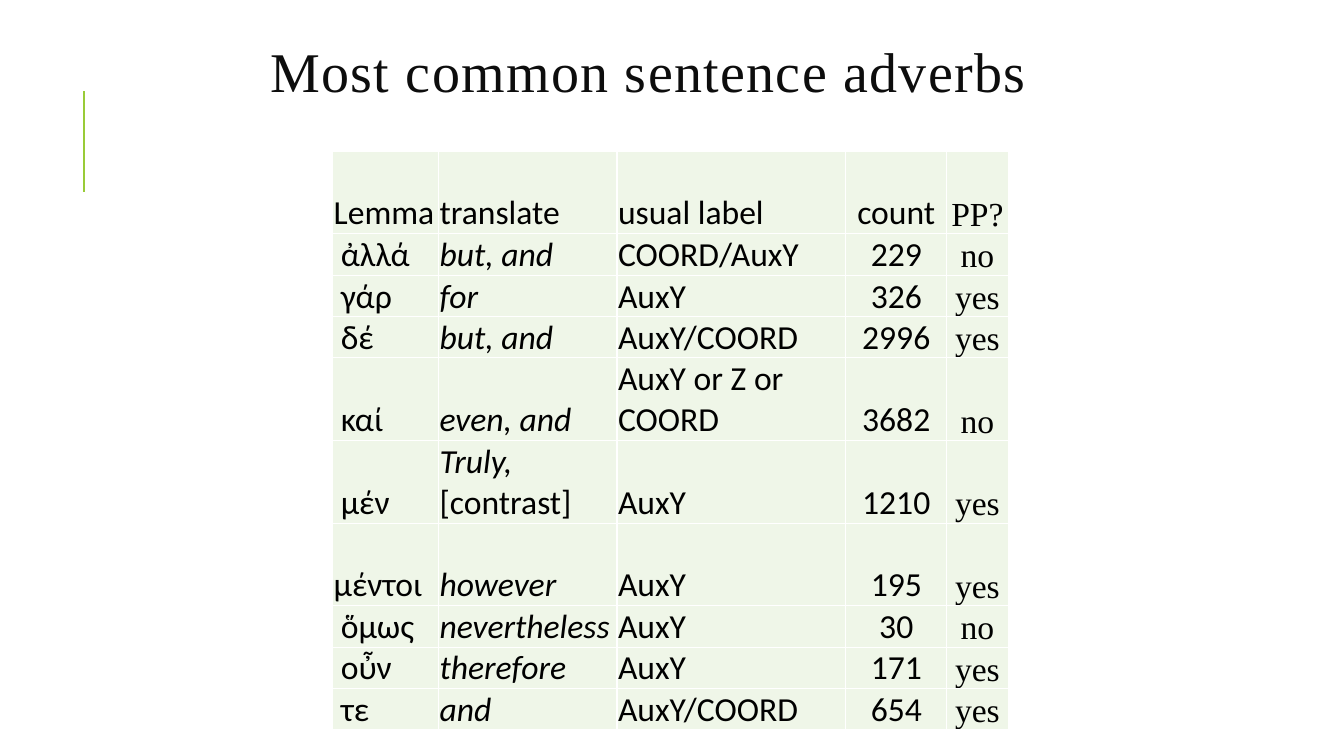
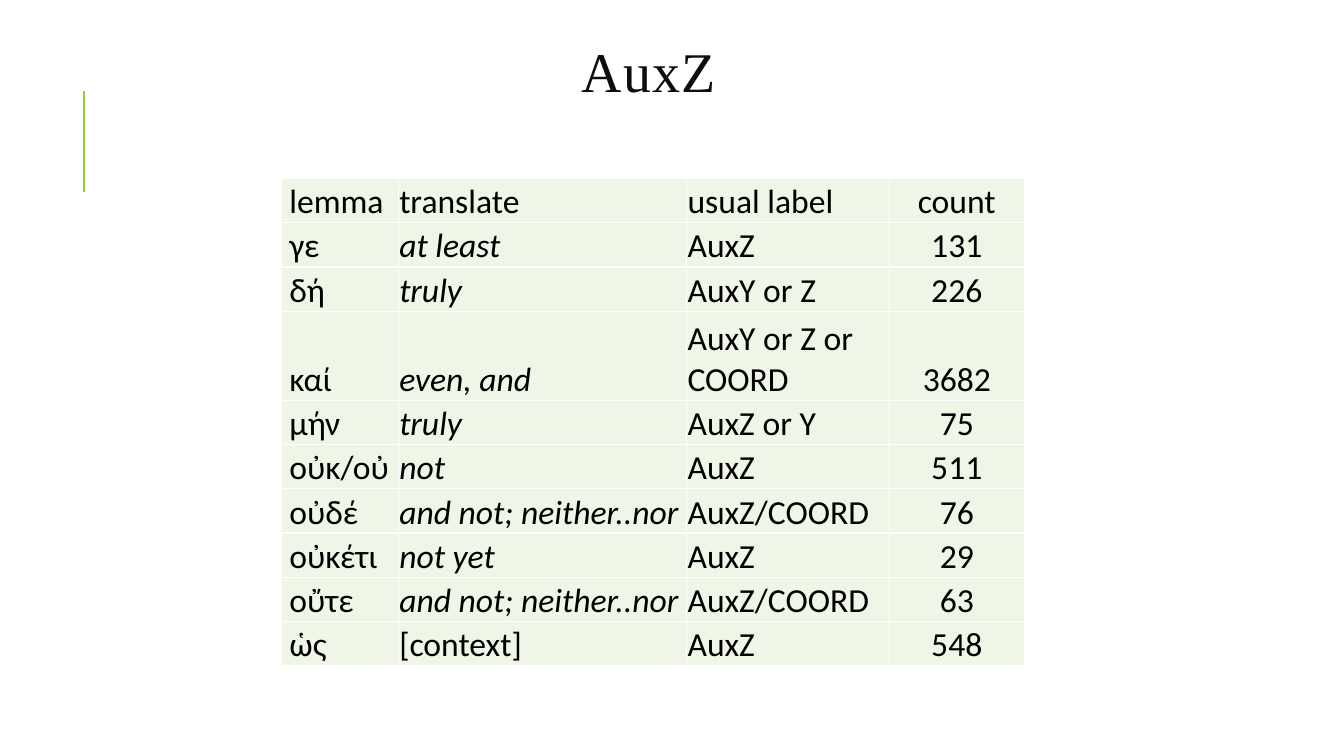
from dataclasses import dataclass

from lxml.etree import SubElement
from pptx import Presentation
from pptx.dml.color import RGBColor as Color
from pptx.enum.shapes import MSO_CONNECTOR as Connector
from pptx.enum.text import MSO_ANCHOR as Anchor, PP_ALIGN as Align
from pptx.oxml import parse_xml
from pptx.oxml.ns import nsdecls, qn
from pptx.util import Inches, Pt


@dataclass(frozen=True)
class Theme:
    accent: str = "99CB38"
    title: str = "0D0D0D"
    text: str = "000000"
    cell: str = "EFF6E8"
    border: str = "FFFFFF"
    serif: str = "Times New Roman"
    sans: str = "Calibri"
    title_size: int = 40
    cell_size: int = 24
    indent: float = 0.08
    inset: float = 0.01


THEME = Theme()
SLIDE_SIZE = (13.33, 7.5)
TITLE_BOX = (1.12, 0.36, 10.63, 0.79)
RULE = (0.83, 1.9, 0.83, 0.9)
LEMMA, TRANSLATION, LABEL, COUNT, POSTPOSITIVE = range(5)

ADVERBS = {
    "title": "Most common sentence adverbs",
    "origin": (3.3, 1.5),
    "columns": (1.05, 1.77, 2.27, 1, 0.61),
    "row_height": 0.41,
    "tall_rows": {0, 4, 5, 6},
    "flush_rows": {0, 6},
    "rows": [
        ("Lemma", "translate", "usual label", "count", "PP?"),
        ("ἀλλά", "but, and", "COORD/AuxY", "229", "no"),
        ("γάρ", "for", "AuxY", "326", "yes"),
        ("δέ", "but, and", "AuxY/COORD", "2996", "yes"),
        ("καί", "even, and", "AuxY or Z or COORD", "3682", "no"),
        ("μέν", "Truly, [contrast]", "AuxY", "1210", "yes"),
        ("μέντοι", "however", "AuxY", "195", "yes"),
        ("ὅμως", "nevertheless", "AuxY", "30", "no"),
        ("οὖν", "therefore", "AuxY", "171", "yes"),
        ("τε", "and", "AuxY/COORD", "654", "yes"),
    ],
}
PARTICLES = {
    "title": "AuxZ",
    "origin": (2.79, 1.77),
    "columns": (1.16, 2.86, 2.01, 1.34),
    "row_height": 0.44,
    "tall_rows": {3},
    "flush_rows": set(),
    "rows": [
        ("lemma", "translate", "usual label", "count"),
        ("γε", "at least", "AuxZ", "131"),
        ("δή", "truly", "AuxY or Z", "226"),
        ("καί", "even, and", "AuxY or Z or COORD", "3682"),
        ("μήν", "truly", "AuxZ or Y", "75"),
        ("οὐκ/οὐ", "not", "AuxZ", "511"),
        ("οὐδέ", "and not; neither..nor", "AuxZ/COORD", "76"),
        ("οὐκέτι", "not yet", "AuxZ", "29"),
        ("οὔτε", "and not; neither..nor", "AuxZ/COORD", "63"),
        ("ὡς", "[context]", "AuxZ", "548"),
    ],
}


def assign(target, values):
    for name, value in values.items():
        setattr(target, name, value)


def add_span(para, text, font, size, color, italic=False):
    span = para.add_run()
    span.text = text
    assign(span.font, {"name": font, "size": Pt(size), "italic": italic})
    span.font.color.rgb = Color.from_string(color)
    return span


def add_rule(page, ends):
    rule = page.shapes.add_connector(Connector.STRAIGHT, *map(Inches, ends))
    rule.line.color.rgb = Color.from_string(THEME.accent)
    rule.line.width = Pt(1.5)
    SubElement(rule._element.spPr, qn("a:effectLst"))


def add_title(page, box, text):
    frame = page.shapes.add_textbox(*map(Inches, box)).text_frame
    assign(frame, {"word_wrap": True, "vertical_anchor": Anchor.MIDDLE})
    para = frame.paragraphs[0]
    assign(para, {"alignment": Align.CENTER, "line_spacing": 0.8})
    span = add_span(para, text, THEME.serif, THEME.title_size, THEME.title)
    span.font._element.set("spc", "100")


def add_borders(cell):
    properties = cell._tc.get_or_add_tcPr()
    for position, side in enumerate("LRTB"):
        properties.insert(position, parse_xml(
            f'<a:ln{side} {nsdecls("a")} w="{Pt(1)}"><a:solidFill>'
            f'<a:srgbClr val="{THEME.border}"/></a:solidFill></a:ln{side}>'))


def fill_cell(cell, text, column, is_header, is_flush):
    """Style one cell; translations are italic except for a bracketed note."""
    indented = column == LEMMA and not is_flush
    inset = Inches(THEME.inset)
    assign(cell, {
        "vertical_anchor": Anchor.BOTTOM,
        "margin_left": Inches(THEME.indent) if indented else inset,
        "margin_right": inset, "margin_top": inset, "margin_bottom": 0})
    cell.fill.solid()
    cell.fill.fore_color.rgb = Color.from_string(THEME.cell)
    add_borders(cell)
    para = cell.text_frame.paragraphs[0]
    para.alignment = Align.CENTER if column >= COUNT else Align.LEFT
    font = THEME.serif if column == POSTPOSITIVE else THEME.sans
    gloss, bracket, note = text.partition("[")
    italic = column == TRANSLATION and not is_header
    for part, slant in ((gloss, italic), (bracket + note, False)):
        if part:
            add_span(para, part, font, THEME.cell_size, THEME.text, slant)


def add_word_table(page, content):
    rows, columns = content["rows"], content["columns"]
    heights = [content["row_height"] * (2 if number in content["tall_rows"] else 1)
               for number in range(len(rows))]
    box = (*content["origin"], sum(columns), sum(heights))
    table = page.shapes.add_table(
        len(rows), len(columns), *map(Inches, box)).table
    assign(table, {"first_row": False, "horz_banding": False})
    for column, width in zip(table.columns, columns):
        column.width = Inches(width)
    for number, (words, height) in enumerate(zip(rows, heights)):
        table.rows[number].height = Inches(height)
        for column, text in enumerate(words):
            fill_cell(table.cell(number, column), text, column,
                      number == 0, number in content["flush_rows"])


def add_word_slide(deck, content):
    page = deck.slides.add_slide(deck.slide_layouts[6])
    add_rule(page, RULE)
    add_title(page, TITLE_BOX, content["title"])
    add_word_table(page, content)


def main():
    deck = Presentation()
    deck.slide_width, deck.slide_height = map(Inches, SLIDE_SIZE)
    for content in (ADVERBS, PARTICLES):
        add_word_slide(deck, content)
    deck.save("out.pptx")


if __name__ == "__main__":
    main()
